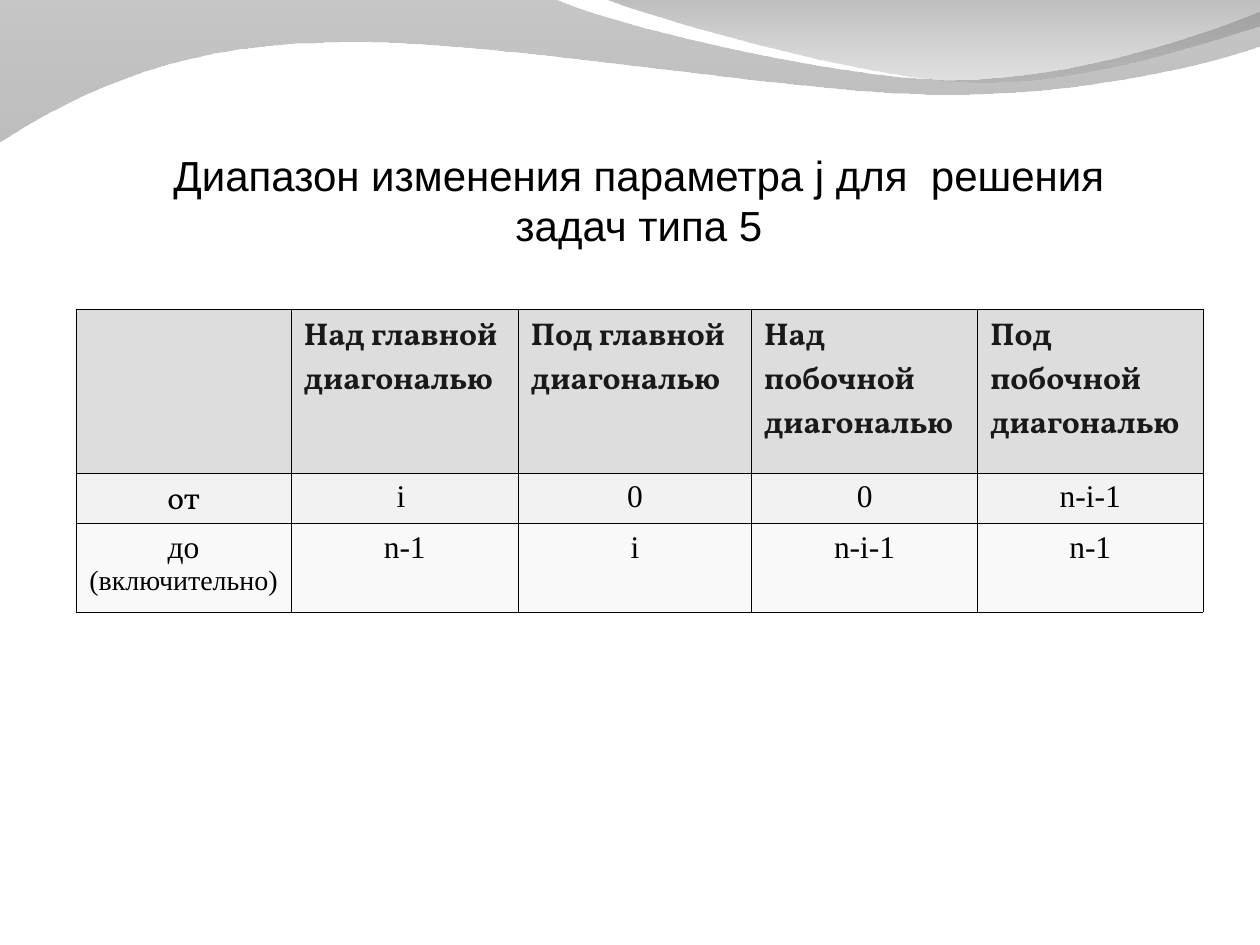
from lxml.etree import SubElement
from pptx import Presentation
from pptx.dml.color import RGBColor
from pptx.enum.text import PP_ALIGN as AL
from pptx.oxml import parse_xml
from pptx.oxml.ns import nsdecls, qn
from pptx.util import Cm, Pt


def rgb(hex_color):
    return RGBColor.from_string(hex_color)


def add_run(p, text, color="000000", **fmt):
    r = p.add_run()
    r.text = text
    r.font.color.rgb = rgb(color)
    for name, value in fmt.items():
        setattr(r.font, name, value)


prs = Presentation()
prs.slide_width, prs.slide_height = Cm(25.4), Cm(19.05)
s = prs.slides.add_slide(prs.slide_layouts[6])

# Waves: start point, then lines (one point) and Bézier curves (three points), in cm;
# gradient stops from top to bottom as (colour, opacity in %)
waves = [
    ((0, -0.03),
     [[(11.18, -0.03)],
      [(12.09, 0.43), (16.87, 1.6), (19.25, 1.6)],
      [(21.67, 1.6), (24.33, 0.66), (25.4, 0.23)],
      [(25.43, 0.91)],
      [(24.97, 1.12), (22.1, 1.93), (18.95, 1.9)],
      [(15.8, 1.9), (9.7, 0.71), (6.53, 0.86)],
      [(3.28, 0.89), (1.17, 2.11), (-0.03, 2.87)]],
     [("828282", 45), ("878787", 55)]),
    ((12.17, -0.03),
     [[(12.93, 0.28), (17.32, 1.57), (19.53, 1.65)],
      [(21.74, 1.75), (24.41, 0.81), (25.4, 0.53)],
      [(25.4, 0)]],
     [("6D6D6D", 45), ("9C9C9C", 30)]),
]
for (x, y), segments, stops in waves:
    fb = s.shapes.build_freeform(Cm(x), Cm(y))
    fb.add_line_segments([(Cm(px), Cm(py)) for seg in segments for px, py in seg])
    sp = fb.convert_to_shape()
    # Merge the three points of each curve into one cubic segment
    lines = iter(list(sp._element.iter(qn("a:lnTo"))))
    for seg in segments:
        parts = [next(lines) for _ in seg]
        if len(seg) == 3:
            curve = parse_xml(f'<a:cubicBezTo {nsdecls("a")}/>')
            parts[0].addprevious(curve)
            for part in parts:
                curve.append(part[0])
                part.getparent().remove(part)
    sp.shadow.inherit = False
    sp.line.fill.background()
    sp.fill.gradient()
    sp.fill.gradient_angle = 270
    for stop, (color, _) in zip(sp.fill.gradient_stops, stops):
        stop.color.rgb = rgb(color)
    for clr, (_, opacity) in zip(sp._element.iter(qn("a:srgbClr")), stops):
        SubElement(clr, qn("a:alpha"), val=str(opacity * 1000))

# Title
tf = s.shapes.add_textbox(Cm(2.88), Cm(2.88), Cm(20), Cm(2.29)).text_frame
tf.word_wrap = True
p = tf.paragraphs[0]
p.alignment = AL.CENTER
add_run(p, "Диапазон изменения параметра j для  решения задач типа 5",
        name="Arial", size=Pt(24))

# Table of ranges
rows = [
    ["", "Над главной диагональю", "Под главной диагональю",
     "Над побочной диагональю", "Под побочной диагональю"],
    ["от", "i ", "0", "0", "n-i-1"],
    ["до ", "n-1", "i", "n-i-1", "n-1"],
]
col_widths = [4.34, 4.58, 4.7, 4.56, 4.54]
row_heights = [3.31, 1.02, 1.78]
row_fills = ["DDDDDD", "F2F2F2", "F9F9F9"]
header = {"name": "Vollkorn", "size": Pt(18), "bold": True, "color": "191919"}
body = {"name": "Times New Roman", "size": Pt(18), "bold": False}

tbl = s.shapes.add_table(len(rows), len(col_widths), Cm(1.53), Cm(6.23),
                         Cm(sum(col_widths)), Cm(sum(row_heights))).table
for col, width in zip(tbl.columns, col_widths):
    col.width = Cm(width)
for row, height in zip(tbl.rows, row_heights):
    row.height = Cm(height)

for i, texts in enumerate(rows):
    for j, text in enumerate(texts):
        cell = tbl.cell(i, j)
        tcPr = cell._tc.get_or_add_tcPr()
        for side in ("lnL", "lnR", "lnT", "lnB"):
            tcPr.append(parse_xml(
                f'<a:{side} {nsdecls("a")} w="{Pt(0.45)}"><a:solidFill>'
                f'<a:srgbClr val="000000"/></a:solidFill></a:{side}>'))
        cell.fill.solid()
        cell.fill.fore_color.rgb = rgb(row_fills[i])
        p = cell.text_frame.paragraphs[0]
        if i:
            p.alignment = AL.CENTER
        if text:
            fmt = body if i else header
            if text == "от":
                fmt = {**body, "name": "Vollkorn"}
            add_run(p, text, **fmt)
        if text == "до ":
            add_run(p, "(включительно) ", **{**body, "size": Pt(16)})

prs.save("out.pptx")
